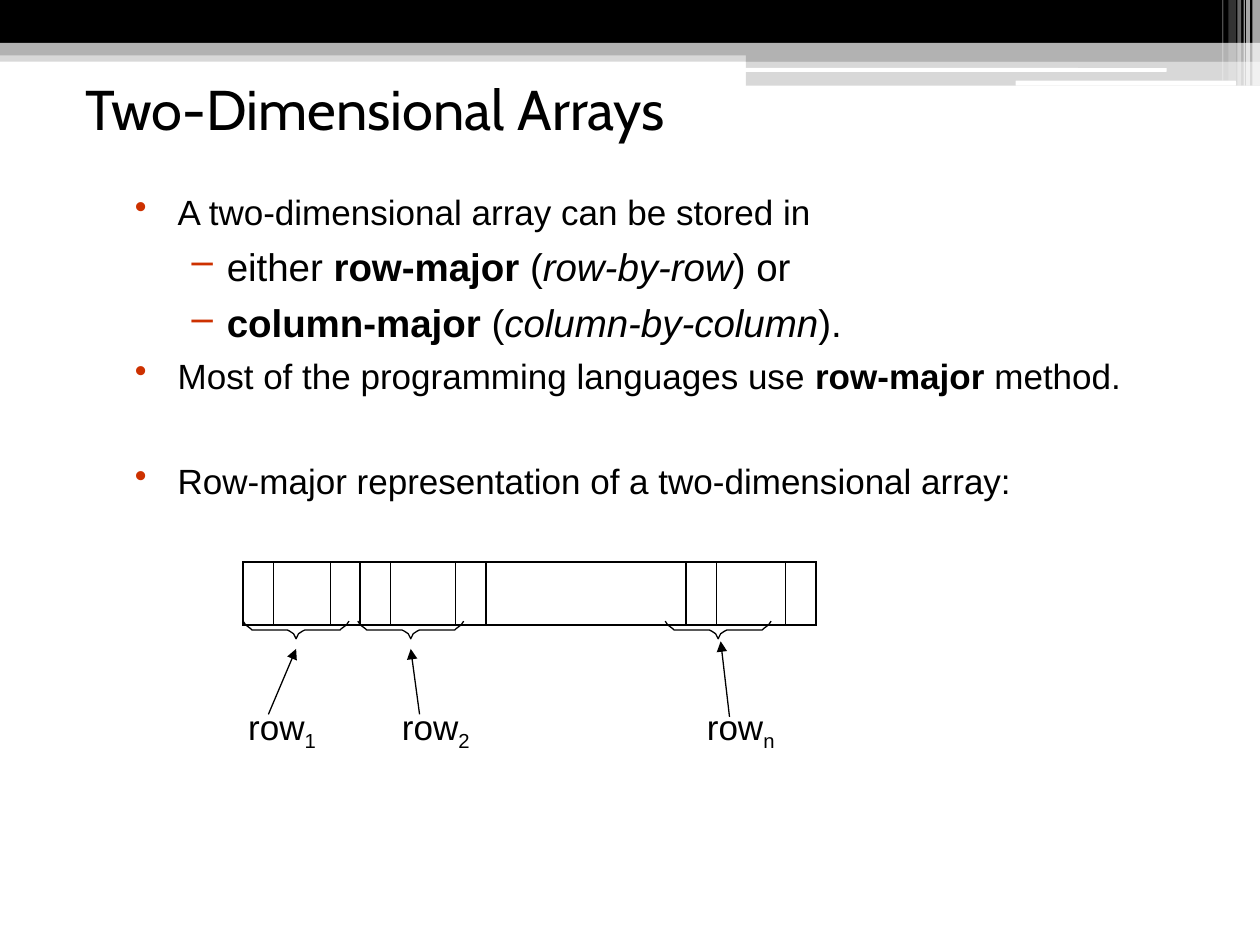
from lxml import etree
from pptx import Presentation
from pptx.dml.color import RGBColor
from pptx.enum.shapes import MSO_CONNECTOR, MSO_SHAPE
from pptx.enum.text import MSO_ANCHOR, PP_ALIGN
from pptx.oxml.ns import qn
from pptx.util import Inches, Pt

RECTANGLE = MSO_SHAPE.RECTANGLE
ROUNDED = MSO_SHAPE.ROUNDED_RECTANGLE
STRAIGHT = MSO_CONNECTOR.STRAIGHT
LEFT = PP_ALIGN.LEFT
MIDDLE = MSO_ANCHOR.MIDDLE
TOP = MSO_ANCHOR.TOP

BLACK, WHITE, GRAY, RED = "000000", "FFFFFF", "B2B2B2", "CD3100"


def color(hex_string):
    """Return the colour for a hex string."""
    return RGBColor.from_string(hex_string)


def add_child(parent, tag, **attributes):
    """Append an XML element to a parent and return it."""
    return etree.SubElement(parent, qn(tag), attributes)


def add_bar(slide, box, fill, opacity=100, kind=RECTANGLE):
    """Add one borderless bar of the header."""
    shape = slide.shapes.add_shape(kind, *(Inches(value) for value in box))
    shape.shadow.inherit = False
    shape.line.fill.background()
    shape.fill.solid()
    shape.fill.fore_color.rgb = color(fill)
    if opacity < 100:
        solid = shape.fill._xPr.find(qn("a:solidFill"))
        add_child(solid[0], "a:alpha", val=str(opacity * 1000))


def add_header(slide, left, top, width):
    """Draw the banded header with its fine stripes at the right end."""
    bands = [
        (0, 0.4, width, 0.09, GRAY, 50, RECTANGLE),
        (0, 0, width, 0.34, BLACK, 100, RECTANGLE),
        (0, 0.34, width, 0.1, GRAY, 100, RECTANGLE),
        (5.92, 0.39, width - 5.92, 0.1, GRAY, 100, RECTANGLE),
        (5.92, 0.48, width - 5.92, 0.2, GRAY, 50, RECTANGLE),
        (5.91, 0.54, 3.35, 0.03, WHITE, 100, ROUNDED),
        (8.06, 0.64, 1.75, 0.04, WHITE, 100, ROUNDED),
    ]
    for x, y, w, h, fill, opacity, kind in bands:
        add_bar(slide, (left + x, top + y, w, h), fill, opacity, kind)
    stripes = [
        (0.06, 0.06, 0.68, 65), (0.11, 0.03, 0.68, 65), (0.13, 0.01, 0.68, 60),
        (0.18, 0.03, 0.68, 40), (0.25, 0.06, 0.64, 20), (0.3, 0.01, 0.64, 30),
    ]
    for from_right, w, h, opacity in stripes:
        add_bar(slide, (left + width - from_right, top, w, h), WHITE, opacity)


def prepare_frame(frame, anchor=TOP):
    """Remove the insets of a text frame and set its anchor."""
    frame.margin_left = frame.margin_right = 0
    frame.margin_top = frame.margin_bottom = 0
    frame.vertical_anchor = anchor
    frame.word_wrap = True


def add_run(paragraph, text, size, style="", name="Arial"):
    """Add a run in black; style may hold b, i or n for lowered text."""
    run = paragraph.add_run()
    run.text = text
    font = run.font
    font.size, font.name = Pt(size), name
    font.bold, font.italic = "b" in style, "i" in style
    font.color.rgb = color(BLACK)
    if "n" in style:
        font._element.set("baseline", "-22000")


def add_title(slide, box):
    """Place and format the title."""
    title = slide.shapes.title
    title.left, title.top, title.width, title.height = (Inches(v) for v in box)
    prepare_frame(title.text_frame, MIDDLE)
    paragraph = title.text_frame.paragraphs[0]
    paragraph.alignment = LEFT
    add_run(paragraph, "Two-Dimensional Arrays", 32, name="Cabin")


def add_bullets(slide, box):
    """Write the bulleted text at two levels."""
    lines = [
        (0, 0, [("A two-dimensional array can be stored in", "")]),
        (1, 5.9, [("either ", ""), ("row-major ", "b"), ("(", ""),
                  ("row-by-row", "i"), (") or", "")]),
        (1, 6.1, [("column-major ", "b"), ("(", ""),
                  ("column-by-column", "i"), (").", "")]),
        (0, 4.8, [("Most of the programming languages use ", ""),
                  ("row-major ", "b"), ("method.", "")]),
        (0, 36, [("Row-major representation of a two-dimensional array:", "")]),
    ]
    levels = [(0.35, -0.34, "\u2022", 20), (0.74, -0.28, "\u2013", 22)]
    frame = slide.shapes.add_textbox(*(Inches(v) for v in box)).text_frame
    prepare_frame(frame)
    for index, (level, space, runs) in enumerate(lines):
        paragraph = frame.add_paragraph() if index else frame.paragraphs[0]
        margin, indent, bullet, size = levels[level]
        paragraph.level = level
        paragraph.space_before = Pt(space)
        properties = paragraph._p.get_or_add_pPr()
        properties.set("marL", str(Inches(margin)))
        properties.set("indent", str(Inches(indent)))
        add_child(add_child(properties, "a:buClr"), "a:srgbClr", val=RED)
        add_child(properties, "a:buChar", char=bullet)
        for text, style in runs:
            add_run(paragraph, text, size, style)


def add_border(cell, side, width):
    """Draw one border of a cell."""
    line = add_child(cell._tc.get_or_add_tcPr(), "a:ln" + side, w=str(Pt(width)))
    add_child(add_child(line, "a:solidFill"), "a:srgbClr", val=BLACK)


def add_memory_table(slide, left, top):
    """Draw the strip of memory cells, with thick lines around each row."""
    widths = [0.21, 0.45, 0.16, 0.16, 0.52, 0.16, 1.59, 0.17, 0.55, 0.17]
    thick_edges = {0, 3, 6, 7, 10}
    table = slide.shapes.add_table(
        1, len(widths), Inches(left), Inches(top),
        Inches(sum(widths)), Inches(0.42)).table
    table.first_row = table.horz_banding = False
    table.rows[0].height = Inches(0.42)
    for index, width in enumerate(widths):
        table.columns[index].width = Inches(width)
        cell = table.cell(0, index)
        cell.margin_top = cell.margin_bottom = Inches(0.1)
        for side, edge in (("L", index), ("R", index + 1)):
            add_border(cell, side, 1.08 if edge in thick_edges else 0.45)
        for side in "TB":
            add_border(cell, side, 1.08)
        cell.fill.background()


def add_brace(slide, left, top, width):
    """Draw a brace that opens upward, mirrored about its middle."""
    half = width / 2
    side = [(0, 0), (0.02, 0.03), (0.06, 0.06), (0.07, 0.07),
            (half - 0.07, 0.07), (half - 0.05, 0.08), (half - 0.02, 0.1)]
    points = side + [(half, 0.14)] + [(width - x, y) for x, y in side[::-1]]
    points = [(Inches(left + x), Inches(top + y)) for x, y in points]
    builder = slide.shapes.build_freeform(*points[0], scale=1.0)
    builder.add_line_segments(points[1:], close=False)
    shape = builder.convert_to_shape()
    shape.shadow.inherit = False
    shape.fill.background()
    shape.line.color.rgb = color(BLACK)
    shape.line.width = Pt(0.74)


def add_arrow(slide, start, end):
    """Draw a thin arrow from start to end."""
    arrow = slide.shapes.add_connector(
        STRAIGHT, *(Inches(value) for value in start + end))
    arrow.line.color.rgb = color(BLACK)
    arrow.line.width = Pt(0.75)
    add_child(arrow.line._get_or_add_ln(), "a:tailEnd",
              type="triangle", w="med", len="med")
    add_child(arrow._element.spPr, "a:effectLst")


def add_row_mark(slide, brace_left, label_left, subscript, start, end):
    """Mark one array row with a brace, an arrow and a label."""
    add_brace(slide, brace_left, 4.93, 0.84)
    add_arrow(slide, start, end)
    label = slide.shapes.add_textbox(
        Inches(label_left), Inches(5.6), Inches(0.58), Inches(0.37))
    prepare_frame(label.text_frame)
    paragraph = label.text_frame.paragraphs[0]
    add_run(paragraph, "row", 20)
    add_run(paragraph, subscript, 20, "n")


def build():
    """Build the slide and save it."""
    presentation = Presentation()
    presentation.slide_width, presentation.slide_height = Inches(10), Inches(7.5)
    slide = presentation.slides.add_slide(presentation.slide_layouts[5])
    add_header(slide, 0, 0, 10)
    add_title(slide, (0.68, 0.59, 8.33, 0.54))
    add_bullets(slide, (1.06, 1.51, 7.85, 2.45))
    add_memory_table(slide, 1.93, 4.46)
    add_row_mark(slide, 1.93, 1.97, "1", (2.13, 5.67), (2.35, 5.15))
    add_row_mark(slide, 2.84, 3.19, "2", (3.33, 5.67), (3.26, 5.15))
    add_row_mark(slide, 5.28, 5.61, "n", (5.79, 5.69), (5.72, 5.09))
    presentation.save("out.pptx")


build()
